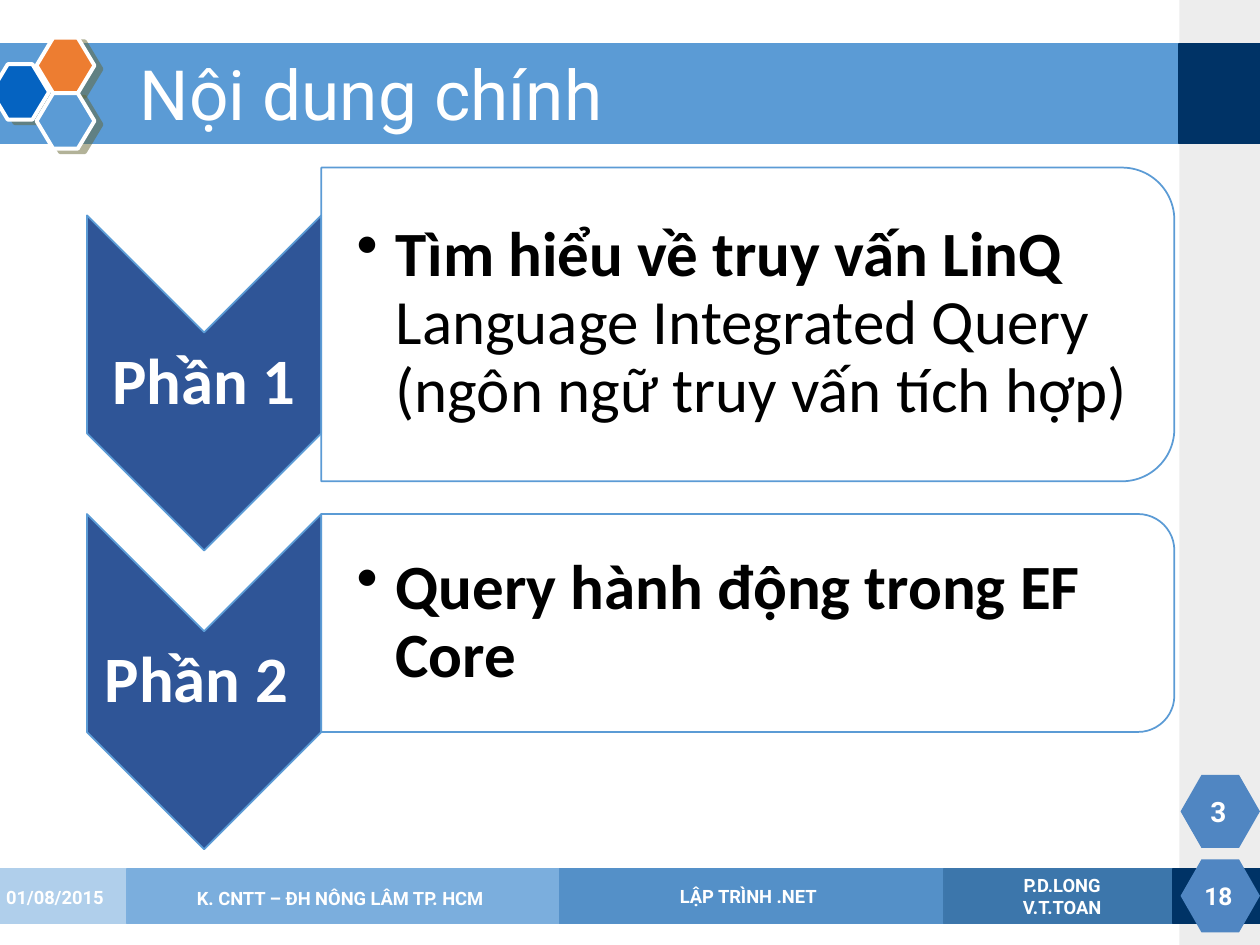
from lxml.etree import SubElement as Sub
from pptx import Presentation
from pptx.dml.color import RGBColor as RGB
from pptx.enum.shapes import MSO_SHAPE as Kind
from pptx.enum.text import MSO_ANCHOR as Anchor, MSO_AUTO_SIZE as Auto, PP_ALIGN as Align
from pptx.oxml.ns import qn
from pptx.util import Pt

PX = 9144
WHITE = RGB(255, 255, 255)
BLACK = RGB(0, 0, 0)
GRAY = RGB(0xA7, 0xA7, 0xA7)
SKY = RGB(0x5B, 0x9B, 0xD5)
NAVY = RGB(0, 0x33, 0x66)
ROYAL = RGB(0x05, 0x63, 0xC1)
ORANGE = RGB(0xED, 0x7D, 0x31)
STEEL = RGB(0x50, 0x86, 0xC2)
DEEP = RGB(0x2F, 0x55, 0x97)
PALE, PALE_EDGE = RGB(0x7C, 0xAF, 0xDE), RGB(0xB0, 0xCF, 0xEB)
MID, MID_EDGE = RGB(0x47, 0x8F, 0xD1), RGB(0x7C, 0xAF, 0xDE)
DARK, DARK_EDGE = RGB(0x2E, 0x74, 0xB4), RGB(0x55, 0x91, 0xC9)
INK, INK_EDGE = RGB(0x25, 0x5D, 0x8F), RGB(0x3D, 0x77, 0xAC)


def emu(*px):
    """Turn px lengths into EMU."""
    return [n * PX for n in px]


def draw(slide, kind, box, fill, edge=None, width=1, alpha=100):
    """Add a flat preset shape."""
    shape = slide.shapes.add_shape(kind, *emu(*box))
    shape.shadow.inherit = False
    shape.fill.solid()
    shape.fill.fore_color.rgb = fill
    if alpha < 100:
        color = shape.element.spPr.find(".//" + qn("a:srgbClr"))
        Sub(color, qn("a:alpha"), val=str(alpha * 1000))
    if edge is None:
        shape.line.fill.background()
    else:
        shape.line.color.rgb = edge
        shape.line.width = Pt(width)
    return shape


def turn(slide, kind, box, *style, **more):
    """Add a shape turned by 90 degrees that fills the given box."""
    x, y, w, h = box
    shift = (w - h) / 2
    shape = draw(slide, kind, (x, y, w, h), *style, **more)
    shape.left, shape.top, shape.width, shape.height = map(
        round, emu(x + shift, y - shift, h, w))
    shape.rotation = 90


def style(par, size, face="Roboto", color=WHITE, bold=True, align=Align.CENTER):
    """Set the font and alignment of a paragraph."""
    font = par.font
    font.name, font.size, font.bold = face, Pt(size), bold
    font.color.rgb = color
    par.alignment = align


def write(slide, box, lines, size, inset=None, **more):
    """Add a wrapped text box and return its frame."""
    frame = slide.shapes.add_textbox(*emu(*box)).text_frame
    frame.word_wrap = True
    frame.vertical_anchor = Anchor.MIDDLE
    if inset:
        (frame.margin_left, frame.margin_top,
         frame.margin_right, frame.margin_bottom) = emu(*inset)
    frame.text = "\n".join(lines)
    for par in frame.paragraphs:
        style(par, size, **more)
    return frame


def shade(shape):
    """Give a shape a soft offset shadow."""
    effects = shape.element.spPr.find(qn("a:effectLst"))
    outer = Sub(effects, qn("a:outerShdw"), dist=str(Pt(4.5)),
                dir=str(27 * 60000), algn="ctr", rotWithShape="0")
    color = Sub(outer, qn("a:srgbClr"), val="666633")
    Sub(color, qn("a:alpha"), val="50000")


def header(slide, box, text):
    """Place the title band, its end block and the three hexagons."""
    x, y, w, h = box
    draw(slide, Kind.RECTANGLE, (x, y, w, h), SKY, SKY)
    draw(slide, Kind.RECTANGLE, (x + w, y, 64, h), NAVY, NAVY)
    for dx, dy, fill in ((-5, 16, ROYAL), (31, -5, ORANGE), (31, 39, SKY)):
        cell = draw(slide, Kind.HEXAGON, (x + dx, y + dy, 46, 44), fill, WHITE, 2.25)
        cell.adjustments[0] = 0.3
        shade(cell)
    title = slide.shapes.title
    title.left, title.top, title.width, title.height = emu(x + 103, y + 5, 830, 75)
    title.element.getparent().append(title.element)
    frame = title.text_frame
    frame.text = text
    frame.auto_size = Auto.NONE
    frame.vertical_anchor = Anchor.MIDDLE
    par = frame.paragraphs[0]
    style(par, 39.6, bold=False, align=Align.LEFT)
    par.line_spacing = 0.9


def footer(slide, box):
    """Place the stacked footer bars and their captions."""
    x, y, w, h = box
    bars = ((0, PALE, PALE_EDGE, 60), (103, MID, MID_EDGE, 50),
            (446, DARK, DARK_EDGE, 50), (751, INK, INK_EDGE, 50),
            (933, NAVY, NAVY, 100))
    for dx, fill, edge, alpha in bars:
        draw(slide, Kind.RECTANGLE, (x + dx, y, w - dx, h), fill, edge, alpha=alpha)
    notes = ((-3, 2, 110, ["01/08/2015"], Align.LEFT),
             (103, 3, 338, ["K. CNTT – ĐH NÔNG LÂM TP. HCM"], Align.CENTER),
             (448, 1, 296, ["LẬP TRÌNH .NET"], Align.CENTER),
             (757, 1, 176, ["P.D.LONG", "V.T.TOAN"], Align.CENTER))
    for dx, dy, wide, lines, align in notes:
        write(slide, (x + dx, y + dy, wide, 40), lines, 10.5, align=align)


def badge(slide, box, text, size):
    """Place a numbered hexagon."""
    x, y, w, h = box
    draw(slide, Kind.HEXAGON, box, STEEL).adjustments[0] = 0.286
    write(slide, (x, y + 9, w - 3, h - 18), [text], size)


def part(slide, box, label, bold, plain="", nudge=0):
    """Place a down chevron with its label and the bullet panel beside it."""
    x, y, w, h = box
    drop = max(0, h - 173) // 2
    side = 186
    turn(slide, Kind.CHEVRON, (x, y + drop, side, 266), DEEP, SKY)
    tag = write(slide, (x + nudge, y + drop + 93, side, 80), [label], 37,
                (3, 3, 3, 3), face="Calibri")
    tag.paragraphs[0].line_spacing = 0.9
    turn(slide, Kind.ROUND_2_SAME_RECTANGLE, (x + side, y, w - side, h),
         WHITE, SKY, alpha=90)
    body = write(slide, (x + side, y + 10, w - side - 11, h - 20), [""], 36,
                 (28, 3, 3, 3), face="Calibri", color=BLACK, bold=None,
                 align=Align.LEFT)
    par = body.paragraphs[0]
    par.line_spacing = 0.9
    for text, heavy in ((bold, True), (plain, False)):
        if text:
            run = par.add_run()
            run.text = text
            font = run.font
            font.name, font.size, font.bold = "Calibri", Pt(36), heavy
            font.color.rgb = BLACK
    props = par._p.get_or_add_pPr()
    props.set("marL", str(31 * PX))
    props.set("indent", str(-31 * PX))
    mark = Sub(props, qn("a:buChar"), char="•")
    props.find(qn("a:defRPr")).addprevious(mark)


def main():
    """Build and save the slide."""
    deck = Presentation()
    deck.slide_width, deck.slide_height = emu(1000, 750)
    slide = deck.slides.add_slide(deck.slide_layouts[5])
    draw(slide, Kind.RECTANGLE, (936, 0, 64, 750), GRAY, alpha=20)
    header(slide, (-2, 35, 938, 79), "Nội dung chính")
    footer(slide, (-2, 690, 1002, 43))
    badge(slide, (937, 682, 63, 58), "18", 14)
    badge(slide, (937, 615, 63, 58), "3", 16)
    part(slide, (69, 133, 863, 249), "Phần 1", "Tìm hiểu về truy vấn LinQ ",
         "Language Integrated Query (ngôn ngữ truy vấn tích hợp)")
    part(slide, (69, 408, 863, 173), "Phần 2", "Query hành động trong EF Core",
         nudge=-6)
    deck.save("out.pptx")


if __name__ == "__main__":
    main()
